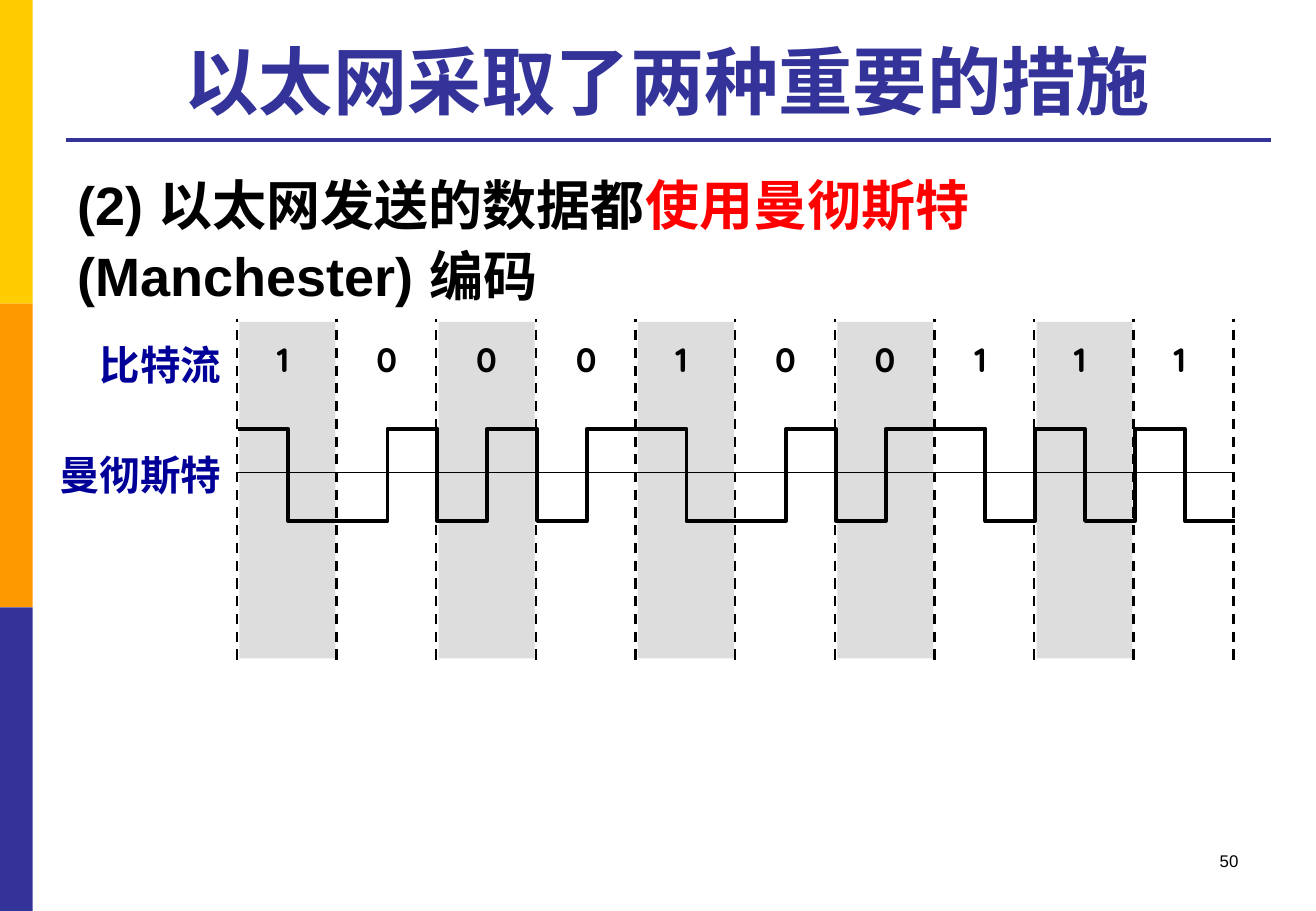
from lxml import etree
from pptx import Presentation
from pptx.dml.color import RGBColor
from pptx.enum.dml import MSO_LINE_DASH_STYLE as Dash
from pptx.enum.shapes import MSO_CONNECTOR as Connector, MSO_SHAPE as Shape
from pptx.enum.text import MSO_ANCHOR as Anchor, PP_ALIGN as Align
from pptx.oxml.ns import qn
from pptx.util import Inches, Pt

COLORS = {
    "yellow": "FFCC00", "orange": "FF9900", "indigo": "333399", "navy": "000099",
    "red": "FF0000", "black": "000000", "gray": "DDDDDD",
}
COLORS = {name: RGBColor.from_string(value) for name, value in COLORS.items()}

presentation = Presentation()
presentation.slide_width = Inches(10.83)
presentation.slide_height = Inches(7.5)
slide = presentation.slides.add_slide(presentation.slide_layouts[6])
shapes = slide.shapes


def add_text(box, pieces, size, bold=True, align=Align.LEFT, font="Arial"):
    text_frame = shapes.add_textbox(*map(Inches, box)).text_frame
    text_frame.word_wrap = True
    paragraph = text_frame.paragraphs[0]
    paragraph.alignment = align
    for text, color in pieces:
        run = paragraph.add_run()
        run.text = text
        run.font.name = font
        run.font.size = Pt(size)
        run.font.bold = bold
        run.font.color.rgb = COLORS[color]
    return text_frame


def add_line(start, end, color, width):
    line = shapes.add_connector(Connector.STRAIGHT, *map(Inches, (*start, *end)))
    line.line.color.rgb = COLORS[color]
    line.line.width = Pt(width)
    etree.SubElement(line._element.spPr, qn("a:effectLst"))
    return line


band_height = 2.5
bands = [(0, i * band_height, 0.27, band_height, color)
         for i, color in enumerate(("yellow", "orange", "indigo"))]

bits = "1000100111"
bit_left, bit_width = 1.95, 0.82
grid_top, grid_bottom = 2.63, 5.43
bands += [(bit_left + i * bit_width + 0.02, 2.65, 0.79, 2.77, "gray")
          for i in range(0, len(bits), 2)]

for *box, color in bands:
    band = shapes.add_shape(Shape.RECTANGLE, *map(Inches, box))
    band.shadow.inherit = False
    band.fill.solid()
    band.fill.fore_color.rgb = COLORS[color]
    band.line.fill.background()

add_line((0.54, 1.15), (10.46, 1.15), "indigo", 2.25)
title = add_text((0.54, 0.2, 9.91, 0.87), [("以太网采取了两种重要的措施", "indigo")],
                 44, align=Align.CENTER)
title.vertical_anchor = Anchor.BOTTOM

body = add_text((0.54, 1.31, 9.91, 1.3), [
    ("(2) 以太网发送的数据都", "black"),
    ("使用曼彻斯特 ", "red"),
    ("(Manchester) 编码", "black"),
], 32)
body.paragraphs[0].line_spacing = 1.1
body.paragraphs[0].space_before = Pt(6)

for i in range(len(bits) + 1):
    x = bit_left + i * bit_width
    divider = add_line((x, grid_bottom), (x, grid_top), "black", 1.5)
    divider.line.dash_style = Dash.DASH

for label, top in (("比特流", 2.75), ("曼彻斯特", 3.66)):
    add_text((0.3, top, 1.62, 0.5), [(label, "navy")], 24, align=Align.RIGHT)

for i, bit in enumerate(bits):
    add_text((2.18 + i * bit_width, 2.74, 0.37, 0.43), [(bit, "black")],
             20, font="Quicksand")

add_line((1.96, 3.89), (10.16, 3.89), "black", 1)

wave_left, half_bit = bit_left + 0.01, bit_width / 2
high, low = 3.53, 4.29
levels = [level for bit in bits for level in ((high, low) if bit == "1" else (low, high))]
points = [(Inches(wave_left + edge * half_bit), Inches(level))
          for i, level in enumerate(levels) for edge in (i, i + 1)]
builder = shapes.build_freeform(*points[0])
builder.add_line_segments(points[1:], close=False)
wave = builder.convert_to_shape()
wave.shadow.inherit = False
wave.fill.background()
wave.line.color.rgb = COLORS["black"]
wave.line.width = Pt(2.25)

add_text((7.76, 6.95, 2.53, 0.5), [("50", "black")], 10, bold=False, align=Align.RIGHT)

presentation.save("out.pptx")
